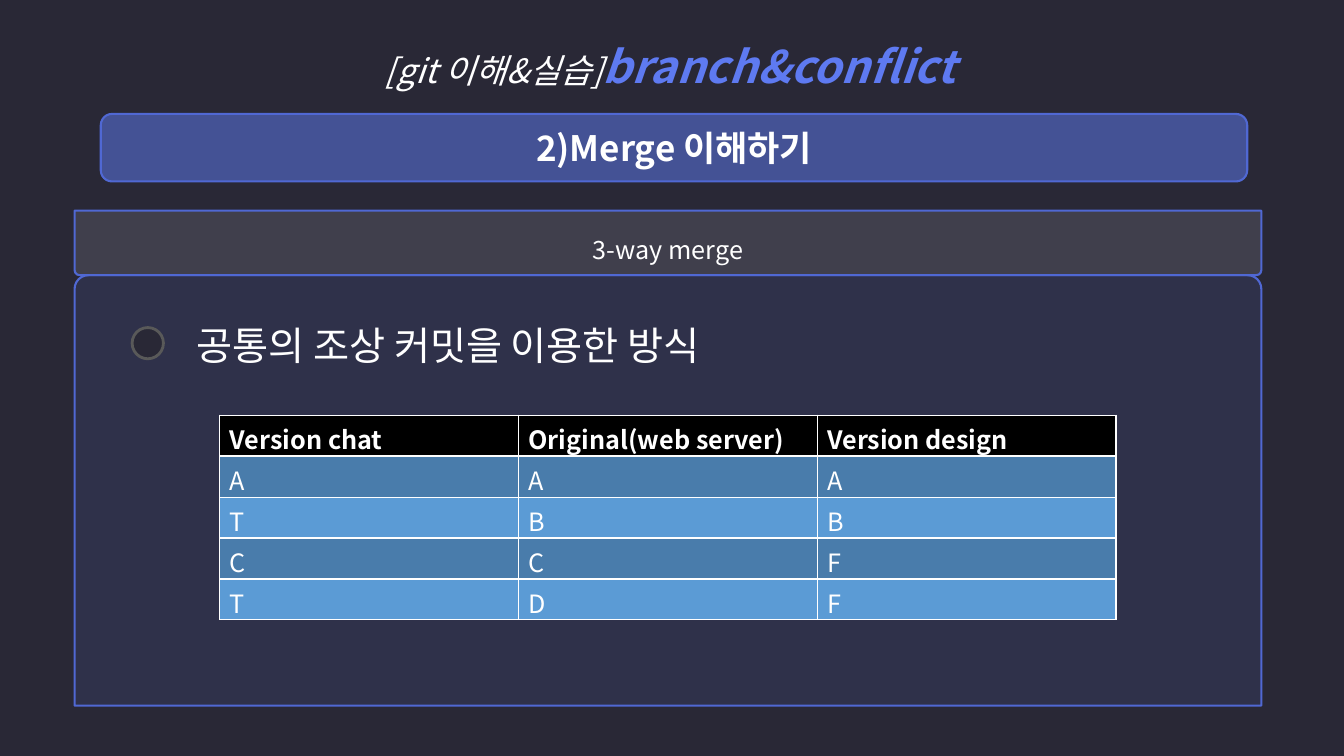
from lxml.etree import SubElement as Sub
from pptx import Presentation
from pptx.dml.color import RGBColor as RGB
from pptx.enum.shapes import MSO_SHAPE as Kind
from pptx.enum.text import MSO_ANCHOR as Anchor, MSO_AUTO_SIZE as Fit, PP_ALIGN as Align
from pptx.oxml import parse_xml
from pptx.oxml.ns import nsdecls, qn
from pptx.util import Inches, Pt

FONT = "Noto Sans CJK KR"
HUE = {"back": "292836", "blue": "607CF4", "edge": "5068D3", "title": "5E7AF1",
       "white": "FFFFFF", "ring": "595959", "head": "000000",
       "dark": "497CAB", "light": "5B9BD5"}

deck = Presentation()
deck.slide_width, deck.slide_height = Inches(13.33), Inches(7.5)
slide = deck.slides.add_slide(deck.slide_layouts[6])
slide.background.fill.solid()
slide.background.fill.fore_color.rgb = RGB.from_string(HUE["back"])
shapes = slide.shapes


def place(left, top, wide, high):
    """Turn percent shares of the slide into lengths."""
    col, row = deck.slide_width / 100, deck.slide_height / 100
    return int(left * col), int(top * row), int(wide * col), int(high * row)


def write(para, text, size, hue="white", bold=False, slant=False):
    run = para.add_run()
    run.text = text
    font = run.font
    font.size, font.bold, font.italic = Pt(size), bold, slant
    font.name = FONT
    font.color.rgb = RGB.from_string(HUE[hue])
    Sub(font._element, qn("a:ea"), typeface=FONT)


# Panels and bullet ring: kind, box, corners, fill, opacity %, line, width
panels = {
    "body": (Kind.ROUND_2_SAME_RECTANGLE, (5.55, 36.4, 88.3, 56.93),
             (0.032, 0), "blue", 11, "edge", 1.5),
    "banner": (Kind.ROUNDED_RECTANGLE, (7.5, 15.07, 85.3, 8.93),
               (0.16667,), "blue", 50, "edge", 1.5),
    "tab": (Kind.ROUND_2_SAME_RECTANGLE, (5.55, 27.87, 88.3, 8.53),
            (0, 0.079), "white", 11, "edge", 1.5),
    "ring": (Kind.OVAL, (9.83, 43.33, 2.33, 4.13),
             (), "back", 100, "ring", 2),
}
made = {}
for name, (kind, box, turns, fill, solid, line, width) in panels.items():
    panel = made[name] = shapes.add_shape(kind, *place(*box))
    panel.shadow.inherit = False
    for i, turn in enumerate(turns):
        panel.adjustments[i] = turn
    panel.fill.solid()
    panel.fill.fore_color.rgb = RGB.from_string(HUE[fill])
    if solid < 100:
        tint = panel.fill._xPr.find(".//" + qn("a:srgbClr"))
        Sub(tint, qn("a:alpha"), val=str(solid * 1000))
    panel.line.color.rgb = RGB.from_string(HUE[line])
    panel.line.width = Pt(width)

# Panel labels
for name, text, size, bold, space in (("banner", "2)Merge 이해하기", 25, True, 1),
                                      ("tab", "3-way merge", 18, False, 1.5)):
    frame = made[name].text_frame
    frame.vertical_anchor = Anchor.MIDDLE
    para = frame.paragraphs[0]
    para.alignment, para.line_spacing = Align.CENTER, space
    write(para, text, size, bold=bold)

# Title and key point
lines = []
for box in ((13.88, 0.93, 72.02, 12.13), (13.88, 41.87, 77.34, 7.6)):
    frame = shapes.add_textbox(*place(*box)).text_frame
    frame.word_wrap, frame.auto_size = True, Fit.SHAPE_TO_FIT_TEXT
    lines.append(frame.paragraphs[0])
title, point = lines
title.alignment, title.line_spacing = Align.CENTER, 1.5
write(title, "[git 이해&실습]", 24, slant=True)
write(title, "branch&conflict", 32, "title", bold=True, slant=True)
write(point, "공통의 조상 커밋을 이용한 방식", 28)

# Version table
rows = [("Version chat", "Original(web server)", "Version design"),
        "AAA", "TBB", "CCF", "TDF"]
table = shapes.add_table(len(rows), 3, *place(16.35, 54.93, 66.69, 27.07)).table
for r, row in enumerate(rows):
    shade = "head" if r == 0 else ("light", "dark")[r % 2]
    for c, text in enumerate(row):
        cell = table.cell(r, c)
        cell.fill.solid()
        cell.fill.fore_color.rgb = RGB.from_string(HUE[shade])
        write(cell.text_frame.paragraphs[0], text, 18, bold=r == 0)
        if r == 0:
            rule = parse_xml(f'<a:lnB {nsdecls("a")} w="{Pt(2)}"><a:solidFill>'
                             f'<a:srgbClr val="{HUE["white"]}"/></a:solidFill></a:lnB>')
            cell._tc.get_or_add_tcPr().insert(0, rule)

deck.save("out.pptx")
